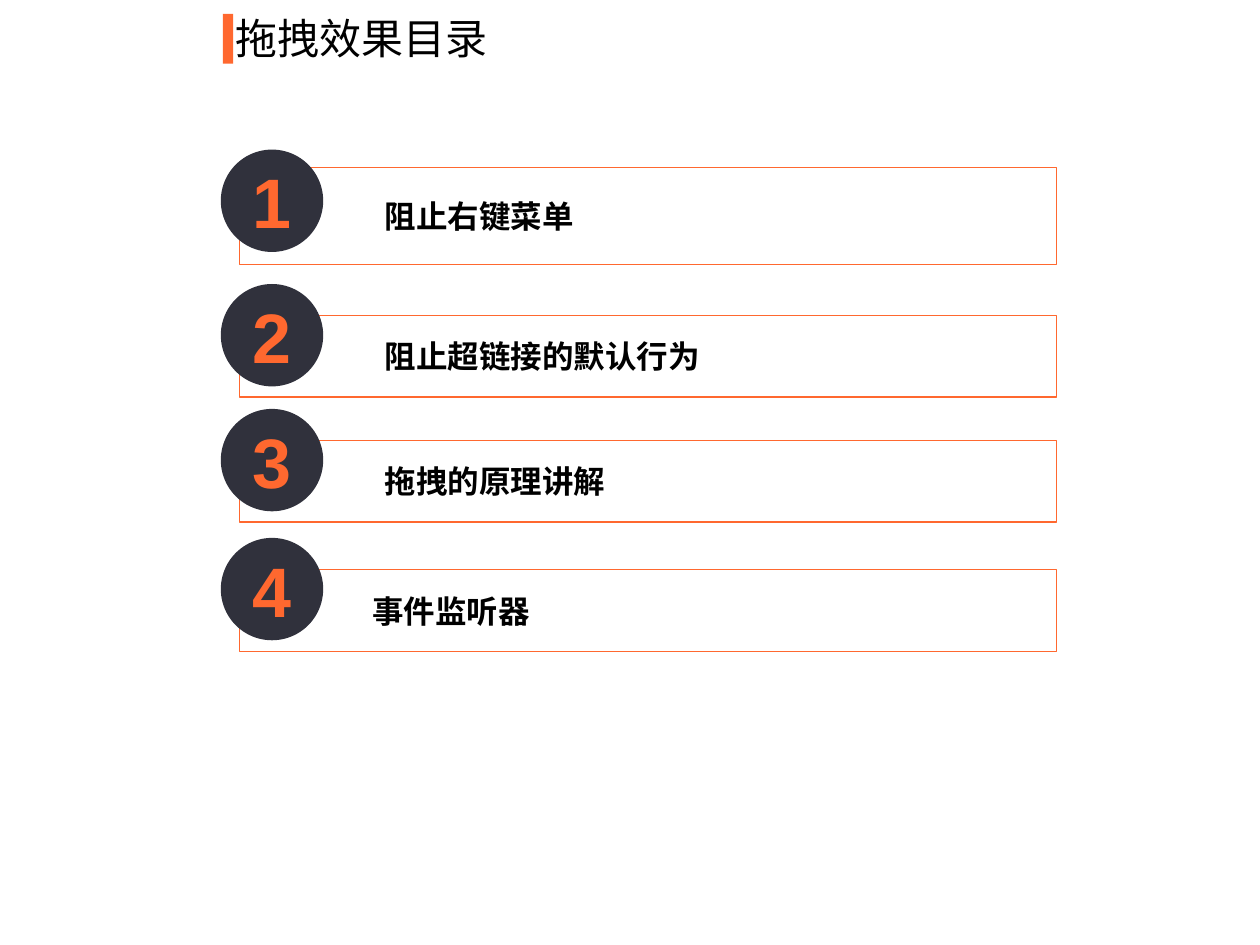
"""Build the agenda slide for the drag-and-drop lesson."""
from dataclasses import dataclass

import lxml.etree
import pptx
import pptx.dml.color
import pptx.enum.shapes
import pptx.enum.text
import pptx.oxml.ns
import pptx.shapes.autoshape
import pptx.slide
import pptx.util

Pt = pptx.util.Pt
ShapeKind = pptx.enum.shapes.MSO_SHAPE
Align = pptx.enum.text.PP_ALIGN
Anchor = pptx.enum.text.MSO_ANCHOR


@dataclass(frozen=True)
class Theme:
    accent: str = "FF682F"
    badge: str = "30313C"
    panel: str = "FFFFFF"
    ink: str = "000000"
    panel_opacity: int = 40
    latin_font: str = "Arial"
    chinese_font: str = "Noto Sans CJK SC"
    title_size: float = 24
    topic_size: float = 18
    number_size: float = 40
    outline: float = 0.75


@dataclass(frozen=True)
class Frame:
    left: float
    top: float
    width: float
    height: float


@dataclass(frozen=True)
class Topic:
    label: str
    badge_top: float
    panel_top: float
    panel_height: float = 46.6
    indent: float = 36


THEME = Theme()
PANEL_LEFT, PANEL_WIDTH = 137, 466.8
BADGE_LEFT, BADGE_SIZE = 126.2, 58.5
TOPICS = (
    Topic("阻止右键菜单", 85.5, 95.9, panel_height=55.1),
    Topic("阻止超链接的默认行为", 162.3, 180.3),
    Topic("拖拽的原理讲解", 233.7, 251.8),
    Topic("事件监听器", 307.4, 325.6, indent=29),
)


def rgb(code: str) -> pptx.dml.color.RGBColor:
    return pptx.dml.color.RGBColor.from_string(code)


def write(holder: pptx.shapes.autoshape.Shape, text: str, *, size: float,
          color: str, font: str, bold: bool = False, align: Align = Align.LEFT,
          anchor: Anchor = Anchor.MIDDLE,
          insets: tuple[float, float, float, float] = (7.2, 3.6, 7.2, 3.6)) -> None:
    frame = holder.text_frame
    frame.word_wrap = True
    frame.vertical_anchor = anchor
    frame.margin_left, frame.margin_top, frame.margin_right, frame.margin_bottom = map(Pt, insets)
    paragraph = frame.paragraphs[0]
    paragraph.alignment = align
    run = paragraph.add_run()
    run.text = text
    run.font.size = Pt(size)
    run.font.bold = bold
    run.font.color.rgb = rgb(color)
    run.font.name = font
    east_asian = lxml.etree.SubElement(run.font._element, pptx.oxml.ns.qn("a:ea"))
    east_asian.set("typeface", THEME.chinese_font)


def draw(slide: pptx.slide.Slide, kind: ShapeKind, area: Frame, fill: str,
         outline: str | None = None, opacity: int = 100) -> pptx.shapes.autoshape.Shape:
    shape = slide.shapes.add_shape(
        kind, Pt(area.left), Pt(area.top), Pt(area.width), Pt(area.height))
    shape.shadow.inherit = False
    shape.fill.solid()
    shape.fill.fore_color.rgb = rgb(fill)
    if opacity < 100:
        color = shape._element.spPr.find(".//" + pptx.oxml.ns.qn("a:srgbClr"))
        alpha = lxml.etree.SubElement(color, pptx.oxml.ns.qn("a:alpha"))
        alpha.set("val", str(opacity * 1000))
    if outline:
        shape.line.color.rgb = rgb(outline)
        shape.line.width = Pt(THEME.outline)
    else:
        shape.line.fill.background()
    return shape


def draw_title(slide: pptx.slide.Slide, text: str) -> None:
    draw(slide, ShapeKind.RECTANGLE, Frame(127.4, 8, 5.8, 28.4), THEME.accent)
    title = slide.shapes.add_textbox(Pt(127.4), Pt(3.6), Pt(289.4), Pt(36))
    write(title, text, size=THEME.title_size, color=THEME.ink,
          font=THEME.chinese_font, anchor=Anchor.TOP)


def draw_topic(slide: pptx.slide.Slide, number: int, topic: Topic) -> None:
    panel = draw(slide, ShapeKind.RECTANGLE,
                 Frame(PANEL_LEFT, topic.panel_top, PANEL_WIDTH, topic.panel_height),
                 THEME.panel, outline=THEME.accent, opacity=THEME.panel_opacity)
    write(panel, topic.label, size=THEME.topic_size, color=THEME.ink,
          font=THEME.latin_font, bold=True, insets=(46.8 + topic.indent, 6, 6, 6))
    badge = draw(slide, ShapeKind.OVAL,
                 Frame(BADGE_LEFT, topic.badge_top, BADGE_SIZE, BADGE_SIZE), THEME.badge)
    write(badge, str(number), size=THEME.number_size, color=THEME.accent,
          font=THEME.latin_font, bold=True, align=Align.CENTER)


def main() -> None:
    deck = pptx.Presentation()
    deck.slide_width, deck.slide_height = Pt(720), Pt(540)
    slide = deck.slides.add_slide(deck.slide_layouts[6])
    draw_title(slide, "拖拽效果目录")
    for number, topic in enumerate(TOPICS, start=1):
        draw_topic(slide, number, topic)
    deck.save("out.pptx")


if __name__ == "__main__":
    main()
